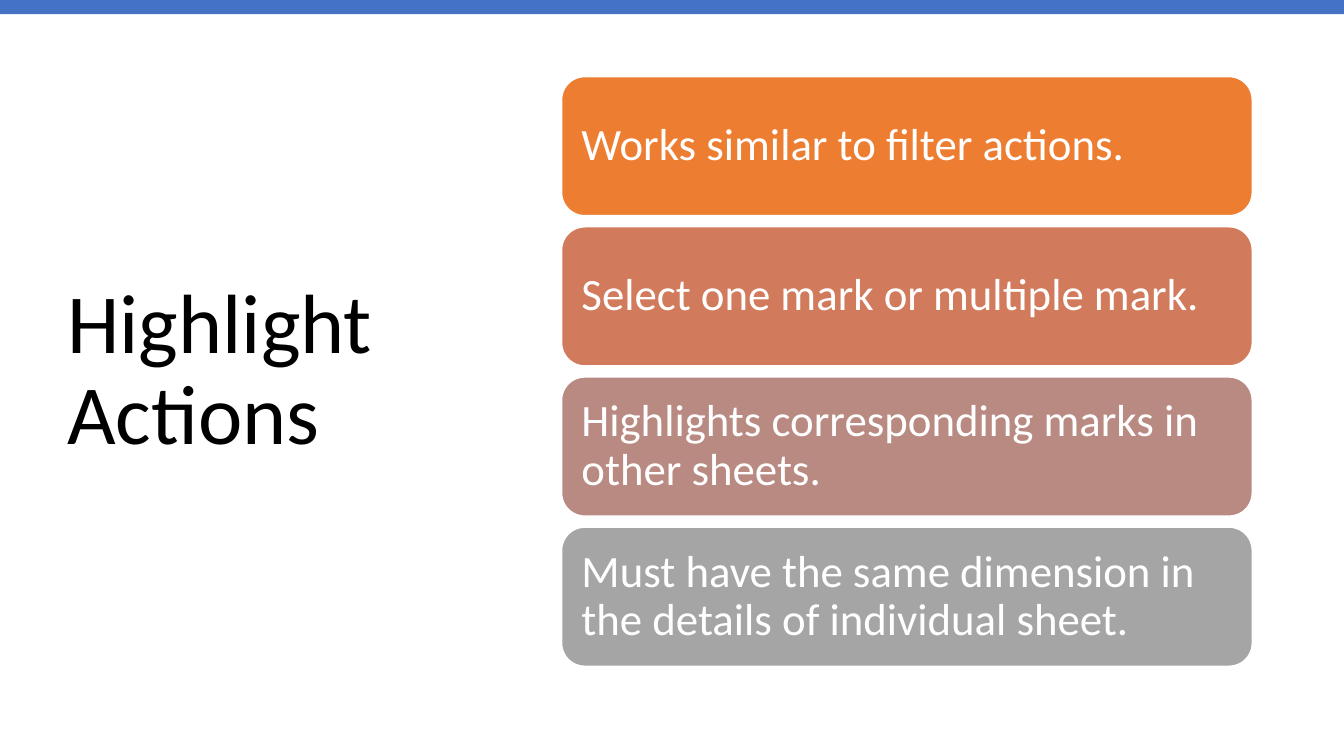
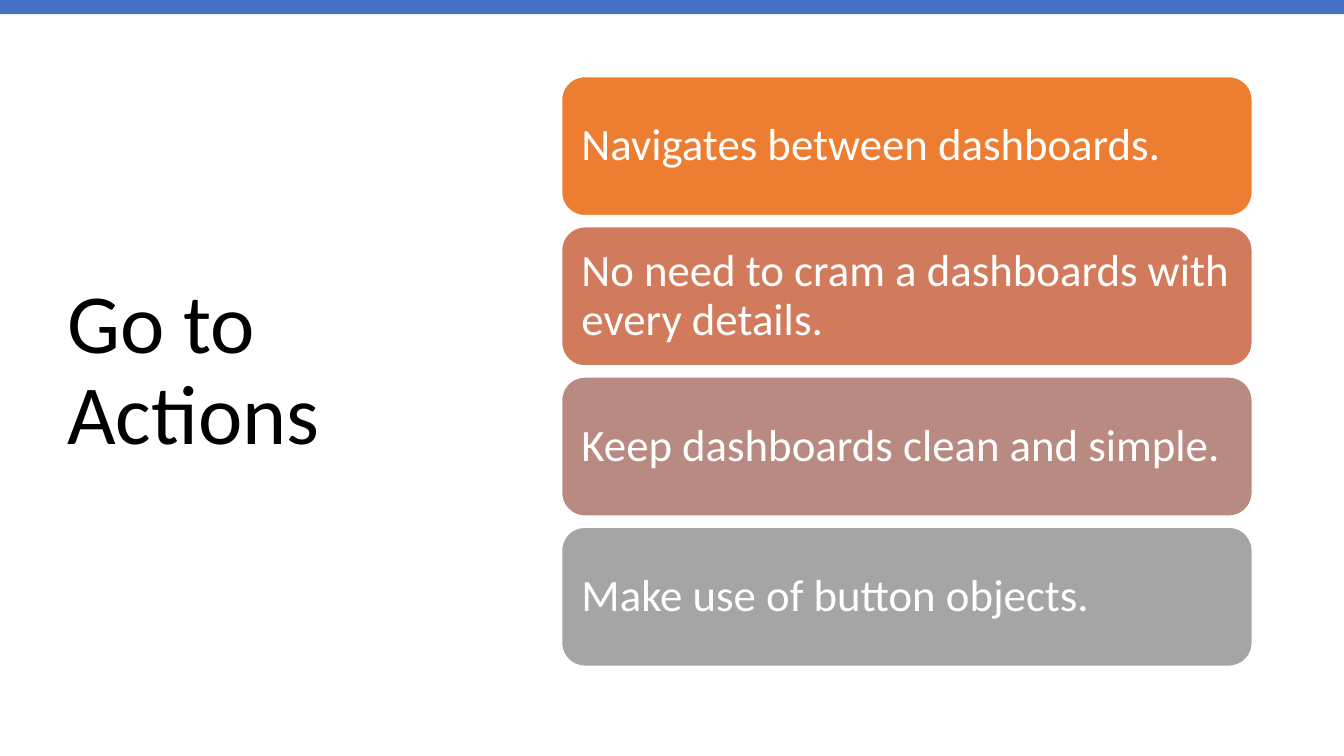
from dataclasses import dataclass

from pptx import Presentation
from pptx.dml.color import RGBColor as RGB
from pptx.enum.shapes import MSO_SHAPE as SHAPE
from pptx.enum.text import MSO_ANCHOR as ANCHOR, PP_ALIGN as ALIGN
from pptx.util import Inches, Pt


@dataclass(frozen=True)
class Theme:
    font: str = "Calibri"
    title_size: int = 60
    card_size: int = 32
    title_color: str = "000000"
    card_text: str = "FFFFFF"
    card_line: str = "FFFFFF"
    band: str = "4472C4"
    cards: tuple = ("ED7D31", "D17B5C", "B98A82", "A5A5A5")


THEME = Theme()
SLIDE_WIDTH, SLIDE_HEIGHT = 13.33, 7.5
CARD_LEFT, CARD_TOP = 5.57, 0.76
CARD_WIDTH, CARD_HEIGHT, CARD_PITCH = 6.85, 1.38, 1.49
CARD_INSET = Inches(0.13)

TOPICS = [
    ("Highlight Actions", [
        "Works similar to filter actions.",
        "Select one mark or multiple mark.",
        "Highlights corresponding marks in other sheets.",
        "Must have the same dimension in the details of individual sheet.",
    ]),
    ("Go to Actions", [
        "Navigates between dashboards.",
        "No need to cram a dashboards with every details.",
        "Keep dashboards clean and simple.",
        "Make use of button objects.",
    ]),
]


def write(frame, text, size, color):
    frame.word_wrap = True
    frame.vertical_anchor = ANCHOR.MIDDLE
    paragraph = frame.paragraphs[0]
    paragraph.alignment = ALIGN.LEFT
    paragraph.line_spacing = 0.9
    run = paragraph.add_run()
    run.text = text
    run.font.name = THEME.font
    run.font.size = Pt(size)
    run.font.color.rgb = RGB.from_string(color)


def add_block(slide, kind, left, top, width, height, fill):
    block = slide.shapes.add_shape(
        kind, Inches(left), Inches(top), Inches(width), Inches(height))
    block.shadow.inherit = False
    block.fill.solid()
    block.fill.fore_color.rgb = RGB.from_string(fill)
    block.line.fill.background()
    return block


deck = Presentation()
deck.slide_width = Inches(SLIDE_WIDTH)
deck.slide_height = Inches(SLIDE_HEIGHT)
blank = deck.slide_layouts[6]

for heading, points in TOPICS:
    slide = deck.slides.add_slide(blank)
    title = slide.shapes.add_textbox(
        Inches(0.57), Inches(0.68), Inches(4.16), Inches(6.02))
    write(title.text_frame, heading, THEME.title_size, THEME.title_color)
    add_block(slide, SHAPE.RECTANGLE, 0, 0, SLIDE_WIDTH, 0.14, THEME.band)

    for row, (point, fill) in enumerate(zip(points, THEME.cards)):
        card = add_block(slide, SHAPE.ROUNDED_RECTANGLE, CARD_LEFT,
                         CARD_TOP + row * CARD_PITCH,
                         CARD_WIDTH, CARD_HEIGHT, fill)
        card.line.color.rgb = RGB.from_string(THEME.card_line)
        card.line.width = Pt(1)
        frame = card.text_frame
        frame.margin_left = frame.margin_right = CARD_INSET
        frame.margin_top = frame.margin_bottom = CARD_INSET
        write(frame, point, THEME.card_size, THEME.card_text)

deck.save("out.pptx")
